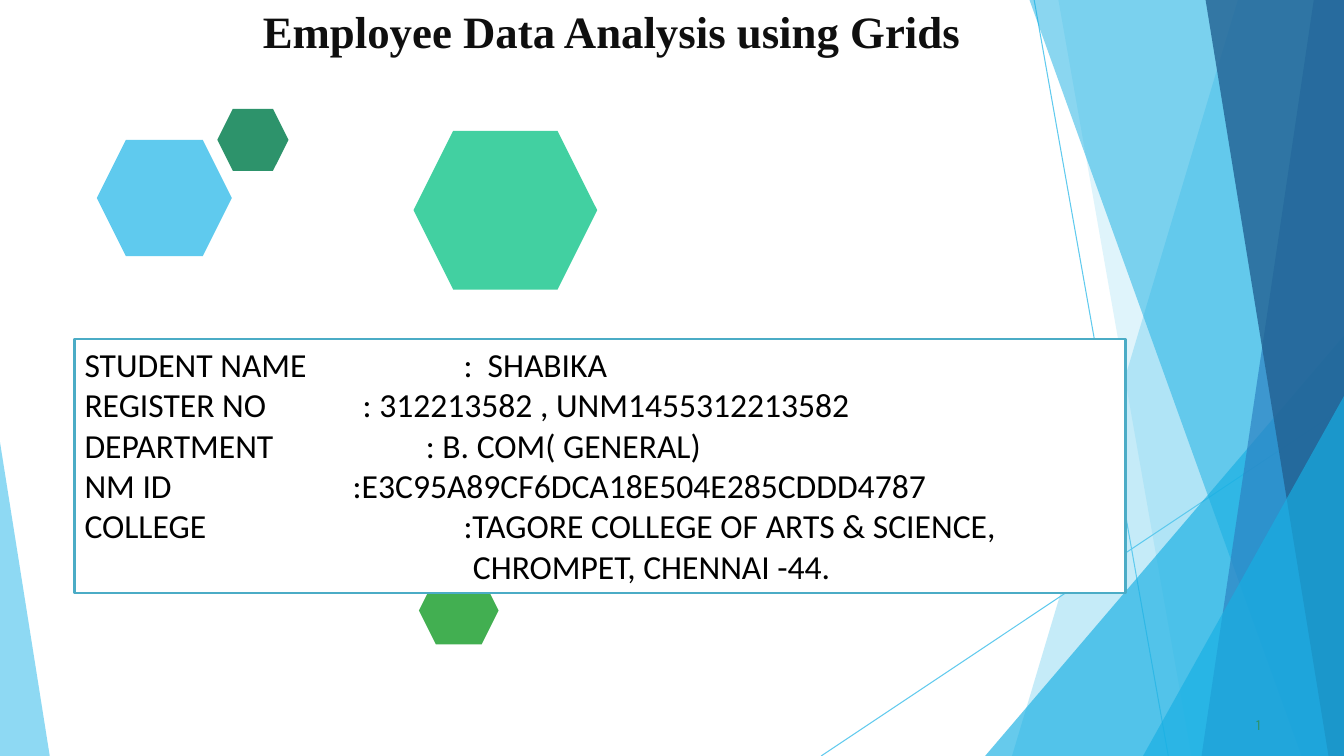
from lxml.etree import SubElement
from pptx import Presentation
from pptx.dml.color import RGBColor
from pptx.enum.shapes import MSO_CONNECTOR, MSO_SHAPE
from pptx.enum.text import MSO_ANCHOR, MSO_AUTO_SIZE, PP_ALIGN
from pptx.oxml.ns import qn
from pptx.util import Inches, Pt

WIDTH, HEIGHT = Inches(13.33), Inches(7.5)

# Lengths are percentages of the slide's width and height.
# Right-hand facets: top, left at top, left at bottom, colour, opacity
FACETS = [
    (0, 92.1, 75.3, "5FCAEE", 36),
    (0, 78.75, 88.65, "5FCAEE", 20),
    (44.4, 100, 73.3, "17AFE3", 66),
    (0, 76.6, 96.85, "17AFE3", 50),
    (0, 97.75, 89.4, "2D83C3", 70),
    (0, 89.7, 98.85, "226192", 80),
    (52.4, 100, 85.05, "17AFE3", 66),
]
FACET_LINES = [(76.95, 0, 86.93, 100), (100, 53.87, 61.1, 100)]
HEXAGONS = [
    ((7.2, 18.5, 10.05, 15.4), "5FCAEE"),
    ((16.17, 14.4, 5.3, 8.2), "2D936B"),
    ((30.77, 17.3, 13.67, 21), "42D0A1"),
    ((31.17, 76.25, 5.93, 9), "42AF51"),
]
# Label, value and the distance from the label's start to the value
DETAILS = [
    ("STUDENT NAME", ":  SHABIKA", 28.2),
    ("REGISTER NO", ": 312213582 , UNM1455312213582", 20.7),
    ("DEPARTMENT", ": B. COM( GENERAL)", 25.4),
    ("NM ID", ":E3C95A89CF6DCA18E504E285CDDD4787", 19.95),
    ("COLLEGE", ":TAGORE COLLEGE OF ARTS & SCIENCE,", 28.2),
    ("", "CHROMPET, CHENNAI -44.", 28.9),
]


def across(share):
    return round(WIDTH * share / 100)


def down(share):
    return round(HEIGHT * share / 100)


def color(hex_text):
    return RGBColor.from_string(hex_text)


def set_values(target, values):
    for name, value in values.items():
        setattr(target, name, value)


def place(shape, left, top, width, height):
    set_values(shape, {"left": across(left), "top": down(top),
                       "width": across(width), "height": down(height)})


def paint(shape, fill, opacity=100):
    shape.shadow.inherit = False
    shape.fill.solid()
    shape.fill.fore_color.rgb = color(fill)
    shape.line.fill.background()
    if opacity < 100:
        fill_color = shape.element.spPr.find(qn("a:solidFill"))[0]
        SubElement(fill_color, qn("a:alpha"), val=str(opacity * 1000))


def add_polygon(slide, points, fill, opacity):
    corners = [(across(x), down(y)) for x, y in points]
    builder = slide.shapes.build_freeform(*corners[0])
    builder.add_line_segments(corners[1:], close=True)
    paint(builder.convert_to_shape(), fill, opacity)


def add_line(slide, x1, y1, x2, y2):
    line = slide.shapes.add_connector(
        MSO_CONNECTOR.STRAIGHT, across(x1), down(y1), across(x2), down(y2))
    line.line.color.rgb = color("5FCAEE")
    line.line.width = Pt(0.75)
    SubElement(line.element.spPr, qn("a:effectLst"))


def add_preset(slide, preset, box, fill):
    shape = slide.shapes.add_shape(preset, 0, 0, 0, 0)
    place(shape, *box)
    paint(shape, fill)
    return shape


def format_frame(frame, margins=None):
    set_values(frame, {"word_wrap": True, "auto_size": MSO_AUTO_SIZE.NONE,
                       "vertical_anchor": MSO_ANCHOR.TOP})
    set_values(frame, margins or {})


def write(paragraph, text, font_color, font, space_before=0):
    set_values(paragraph, {"alignment": PP_ALIGN.LEFT, "space_before": Pt(space_before)})
    run = paragraph.add_run()
    run.text = text
    set_values(run.font, font)
    run.font.color.rgb = color(font_color)


def indent(paragraph, share):
    properties = paragraph._p.get_or_add_pPr()
    properties.set("marL", str(across(share)))
    properties.set("indent", "0")


def add_tab_stop(paragraph, share):
    stops = SubElement(paragraph._p.get_or_add_pPr(), qn("a:tabLst"))
    SubElement(stops, qn("a:tab"), pos=str(across(share)), algn="l")


def fill_title(title):
    place(title, -6.8, 0.25, 81.9, 14.7)
    format_frame(title.text_frame, {"margin_left": 0, "margin_right": 0,
                                    "margin_top": Inches(0.02), "margin_bottom": 0})
    paragraph = title.text_frame.paragraphs[0]
    indent(paragraph, 26.35)
    write(paragraph, "Employee Data Analysis using Grids", "0F0F0F",
          {"name": "Times New Roman", "size": Pt(32), "bold": True}, 1.3)
    title.element.getparent().append(title.element)


def add_page_number(slide):
    box = slide.shapes.add_textbox(0, 0, 0, 0)
    place(box, 93.15, 94.4, 1.3, 2.8)
    format_frame(box.text_frame, {"margin_left": 0, "margin_right": 0,
                                  "margin_top": Inches(0.01), "margin_bottom": 0})
    paragraph = box.text_frame.paragraphs[0]
    indent(paragraph, 0.3)
    write(paragraph, "1", "2D936B", {"name": "Karla", "size": Pt(11)}, 0.6)


def add_details(slide):
    panel = add_preset(slide, MSO_SHAPE.RECTANGLE, (5.55, 44.85, 78.2, 33.6), "FFFFFF")
    panel.line.color.rgb = color("4BACC6")
    panel.line.width = Pt(2)
    frame = panel.text_frame
    format_frame(frame)
    for index, (label, value, stop) in enumerate(DETAILS):
        paragraph = frame.add_paragraph() if index else frame.paragraphs[0]
        write(paragraph, f"{label}\t{value}", "000000",
              {"name": "Calibri", "size": Pt(24)})
        add_tab_stop(paragraph, stop)


def main():
    presentation = Presentation()
    set_values(presentation, {"slide_width": WIDTH, "slide_height": HEIGHT})
    title_only = presentation.slide_layouts[5]
    slide = presentation.slides.add_slide(title_only)

    # Background facets
    for ends in FACET_LINES:
        add_line(slide, *ends)
    for top, left_top, left_bottom, fill, opacity in FACETS:
        points = [(100, top), (left_top, top), (left_bottom, 100), (100, 100)]
        if left_top == 100:
            points.pop(1)
        add_polygon(slide, points, fill, opacity)
    add_polygon(slide, [(0, 58.5), (0, 100), (3.7, 100)], "5FCAEE", 70)

    # Hexagons
    for box, fill in HEXAGONS:
        add_preset(slide, MSO_SHAPE.HEXAGON, box, fill)

    # Text
    fill_title(slide.shapes.title)
    add_page_number(slide)
    add_details(slide)

    presentation.save("out.pptx")


if __name__ == "__main__":
    main()
